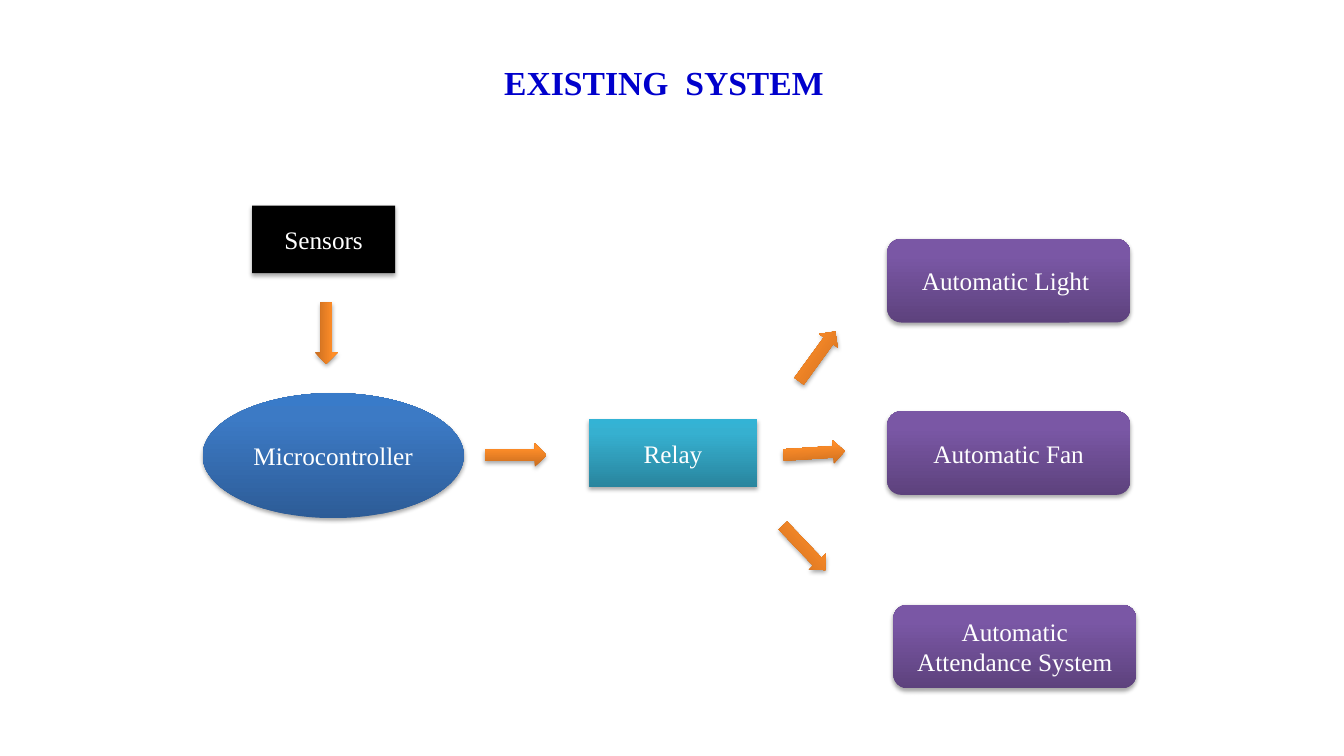
from copy import deepcopy

from pptx import Presentation
from pptx import util as u
from pptx.dml.color import RGBColor
from pptx.enum import shapes, text
from pptx.oxml import parse_xml
from pptx.oxml.ns import nsdecls

PX = 9144  # 100 px to the inch
KIND = shapes.MSO_SHAPE

BLUE = ("2D5C97", "3C7AC5", "397BC9")
TEAL = ("29859E", "36B0D0", "33B3D5")
PLUM = ("5D427D", "7A57A5", "7A56A7")
GOLD = ("C86C1F", "FF8E29", "FF8D25")

SHADE = (
    f'<a:outerShdw {nsdecls("a")} blurRad="40000" dist="23000" dir="5400000" '
    'rotWithShape="0"><a:srgbClr val="000000"><a:alpha val="35000"/>'
    '</a:srgbClr></a:outerShdw>'
)


def tint(code):
    return RGBColor.from_string(code)


class Deck:
    font = "Times New Roman"

    def __init__(self, wide, high):
        self.prs = Presentation()
        self.prs.slide_width, self.prs.slide_height = wide * PX, high * PX
        self.slide = self.prs.slides.add_slide(self.prs.slide_layouts[6])

    def label(self, frame, words, size, color, bold=False):
        frame.word_wrap = True
        frame.text = words
        par = frame.paragraphs[0]
        par.alignment = text.PP_ALIGN.CENTER
        font = par.runs[0].font
        font.name, font.size, font.bold = self.font, u.Pt(size), bold
        font.color.rgb = tint(color)
        return par

    def title(self, words, *box):
        item = self.slide.shapes.add_textbox(*(n * PX for n in box))
        par = self.label(item.text_frame, words, 24, "0000CC", True)
        par.line_spacing = 1.5

    def paint(self, item, stops):
        fill = item.fill
        fill.gradient()
        fill.gradient_angle = 90
        ramp = item._element.xpath(".//a:gsLst")[0]
        ramp.append(deepcopy(ramp[-1]))
        for stop, code, place in zip(fill.gradient_stops, stops, (0, 0.8, 1)):
            stop.color.rgb = tint(code)
            stop.position = place

    def shape(self, kind, box, color):
        item = self.slide.shapes.add_shape(kind, *(n * PX for n in box))
        if isinstance(color, str):
            item.fill.solid()
            item.fill.fore_color.rgb = tint(color)
        else:
            self.paint(item, color)
        item.line.fill.background()
        item.shadow.inherit = False
        item._element.xpath("./p:spPr/a:effectLst")[0].append(parse_xml(SHADE))
        return item

    def node(self, kind, words, box, color):
        item = self.shape(kind, box, color)
        item.text_frame.vertical_anchor = text.MSO_ANCHOR.MIDDLE
        self.label(item.text_frame, words, 18, "FFFFFF")

    def arrow(self, left, top, turn):
        item = self.shape(KIND.RIGHT_ARROW, (left, top, 61, 23), GOLD)
        item.rotation = turn


def main():
    deck = Deck(1333, 750)
    deck.title("EXISTING  SYSTEM", 171, 36, 975, 71)

    # Input, control and switch
    deck.node(KIND.RECTANGLE, "Sensors", (250, 204, 142, 67), "000000")
    deck.node(KIND.OVAL, "Microcontroller ", (201, 390, 259, 124), BLUE)
    deck.node(KIND.RECTANGLE, "Relay", (584, 416, 167, 67), TEAL)

    # Outputs
    for words, left, top in (
        ("Automatic Light ", 880, 237),
        ("Automatic Fan", 880, 408),
        ("Automatic Attendance System", 886, 600),
    ):
        deck.node(KIND.ROUNDED_RECTANGLE, words, (left, top, 241, 83), PLUM)

    # Flow arrows: left, top, turn
    for spot in (
        (293, 319, 90),
        (481, 440, 0),
        (777, 438, 356.4),
        (767, 532, 46.4),
        (780, 342, 306),
    ):
        deck.arrow(*spot)

    deck.prs.save("out.pptx")


if __name__ == "__main__":
    main()
